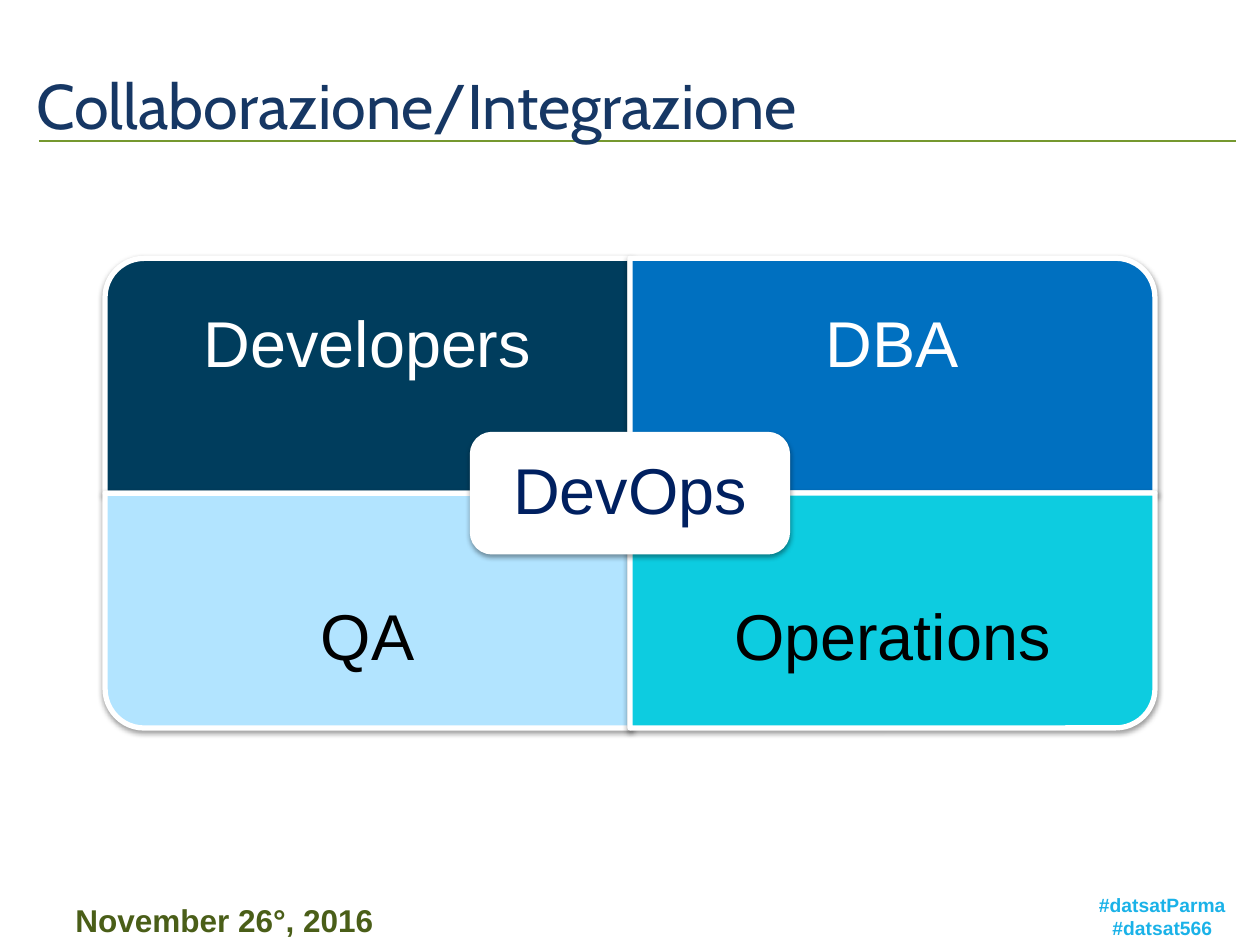
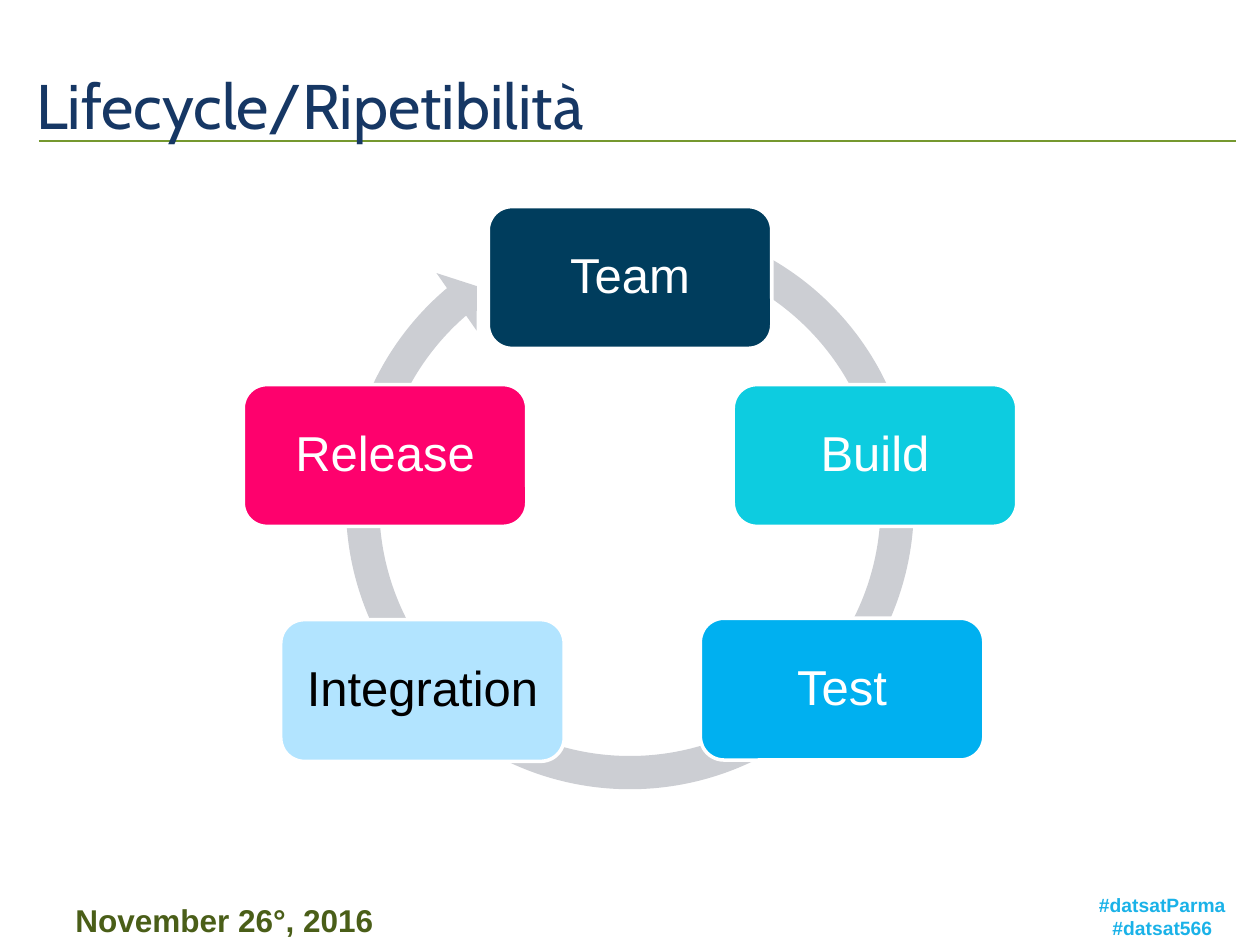
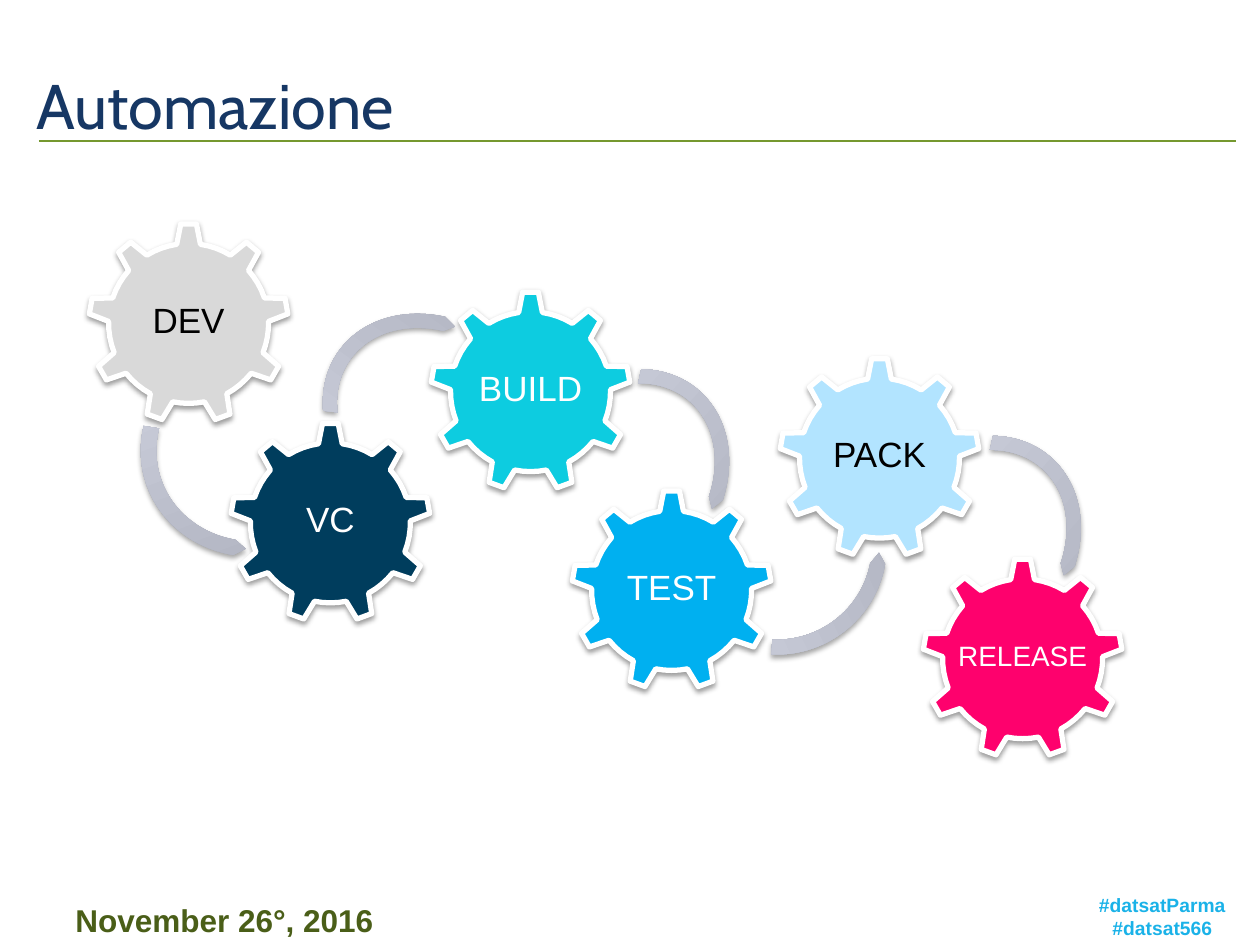
import math

from lxml import etree
from pptx import Presentation
from pptx.dml.color import RGBColor
from pptx.enum import shapes as kinds, text as t
from pptx.oxml import ns
from pptx.util import Pt

WHITE = RGBColor(0xFF, 0xFF, 0xFF)
BLACK = RGBColor(0x00, 0x00, 0x00)
TITLE_BLUE = RGBColor(0x16, 0x37, 0x64)
RULE_GREEN = RGBColor(0x75, 0x98, 0x2F)
DATE_GREEN = RGBColor(0x4A, 0x5E, 0x18)
TAG_BLUE = RGBColor(0x1A, 0xB2, 0xE8)
NAVY = RGBColor(0x00, 0x3D, 0x5D)
MIDNIGHT = RGBColor(0x00, 0x20, 0x60)
BLUE = RGBColor(0x00, 0x70, 0xC0)
SKY = RGBColor(0x00, 0xB0, 0xF0)
PALE_BLUE = RGBColor(0xB2, 0xE4, 0xFF)
TURQUOISE = RGBColor(0x0D, 0xCC, 0xE0)
PINK = RGBColor(0xFE, 0x01, 0x6D)
GREY = RGBColor(0xD9, 0xD9, 0xD9)
RING_GREY = RGBColor(0xCC, 0xCE, 0xD3)
ARROW_COLOURS = (RGBColor(0xAA, 0xAD, 0xBA), RGBColor(0xD5, 0xD8, 0xE5))

PRESET = kinds.MSO_SHAPE
CENTRE = t.PP_ALIGN.CENTER
MIDDLE = t.MSO_ANCHOR.MIDDLE
NO_INSETS = dict.fromkeys(
    ("margin_left", "margin_top", "margin_right", "margin_bottom"), 0)


def set_all(target, values):
    for name, value in values.items():
        setattr(target, name, value)


def write(shape, lines, size, colour, font="Arial", bold=False,
          paragraph=None, **frame):
    """Fill a shape with one paragraph per line."""
    set_all(shape.text_frame, {"word_wrap": True, **frame})
    shape.text_frame.text = "\n".join(lines)
    for line in shape.text_frame.paragraphs:
        set_all(line, paragraph or {})
        set_all(line.font, {"name": font, "size": Pt(size), "bold": bold})
        line.font.color.rgb = colour


def label(shape, words, size, colour, wrap=True):
    """Centred diagram label."""
    write(shape, [words], size, colour, word_wrap=wrap,
          vertical_anchor=MIDDLE, **NO_INSETS,
          paragraph={"alignment": CENTRE, "line_spacing": 0.9})


def text_box(slide, box):
    return slide.shapes.add_textbox(*map(Pt, box))


def preset(slide, kind, box):
    return slide.shapes.add_shape(kind, *map(Pt, box))


def paint(shape, fill, edge=None):
    """Flat fill, white edge of the given width, no shadow."""
    shape.shadow.inherit = False
    shape.fill.solid()
    shape.fill.fore_color.rgb = fill
    if edge:
        shape.line.color.rgb = WHITE
        shape.line.width = Pt(edge)
    else:
        shape.line.fill.background()


def drop_shadow(shape, opacity, distance):
    """Soft black shadow straight below the shape."""
    shape.shadow.inherit = False
    effects = shape._element.spPr.find(ns.qn("a:effectLst"))
    shadow = etree.SubElement(
        effects, ns.qn("a:outerShdw"), blurRad=str(Pt(3.1)),
        dist=str(Pt(distance)), dir="5400000", rotWithShape="0")
    black = etree.SubElement(shadow, ns.qn("a:srgbClr"), val="000000")
    etree.SubElement(black, ns.qn("a:alpha"), val=str(opacity * 1000))


def add_page(deck, title):
    """Blank slide with the shared title, rule and footer."""
    slide = deck.slides.add_slide(deck.slide_layouts[6])
    write(text_box(slide, (597.6, 506.9, 133.2, 33.8)),
          ["#datsatParma", "#datsat566"], 11, TAG_BLUE, bold=True,
          paragraph={"alignment": CENTRE})
    write(text_box(slide, (36, 511.2, 186.5, 28.8)),
          ["November 26°, 2016"], 18, DATE_GREEN, bold=True, word_wrap=False)
    rule = slide.shapes.add_connector(
        kinds.MSO_CONNECTOR.STRAIGHT, *map(Pt, (22.3, 80.6, 706.3, 80.6)))
    rule.line.color.rgb = RULE_GREEN
    rule.line.width = Pt(1)
    etree.SubElement(rule._element.spPr, ns.qn("a:effectLst"))
    write(text_box(slide, (13.7, 12.2, 692.6, 95)), [title], 36, TITLE_BLUE,
          font="Cabin", vertical_anchor=MIDDLE)
    return slide


def add_matrix(slide, box, quadrants, core):
    """Two by two block with a label over its centre."""
    left, top, width, height = box
    w, h = width / 2, height / 2
    text_h = h * 0.75
    for i, (words, fill, ink, turn) in enumerate(quadrants):
        row, column = divmod(i, 2)
        x, y = left + column * w, top + row * h
        # A quarter turn swaps the sides around the same centre
        fw, fh = (h, w) if turn % 180 else (w, h)
        quadrant = preset(slide, PRESET.ROUND_1_RECTANGLE,
                          (x + (w - fw) / 2, y + (h - fh) / 2, fw, fh))
        quadrant.rotation = turn
        paint(quadrant, fill, 3)
        drop_shadow(quadrant, 38, 1.6)
        label(text_box(slide, (x, y + row * (h - text_h), w, text_h)),
              words, 37, ink)
    core_w, core_h = width * 0.3, h / 2
    middle = preset(slide, PRESET.ROUNDED_RECTANGLE,
                    (left + w - core_w / 2, top + h - core_h / 2,
                     core_w, core_h))
    paint(middle, WHITE, 3)
    drop_shadow(middle, 38, 1.6)
    label(middle, core, 37, MIDNIGHT)


def add_cycle(slide, box, steps):
    """Ring arrow with step boxes; step centres are from the ring's top middle."""
    left, top, width, _ = box
    ring = preset(slide, PRESET.CIRCULAR_ARROW, box)
    for i, value in enumerate((0.055, 3.307, 137.74, 173.871, 0.058)):
        ring.adjustments[i] = value
    paint(ring, RING_GREY)
    w, h = 162, 81
    for words, fill, ink, dx, dy in steps:
        step = preset(slide, PRESET.ROUNDED_RECTANGLE,
                      (left + width / 2 + dx - w / 2, top + dy - h / 2, w, h))
        paint(step, fill, 2)
        label(step, words, 28, ink)


def gear_outline(cx, cy, teeth=9, tip=56.8, body=45.7):
    """Points of a gear: each tooth, then the arc to the next one."""
    step = 360 / teeth
    tooth = [(-6.8, 45.2), (-4.5, tip), (4.5, tip), (6.8, 45.2)]
    arc = [(body * math.sin(math.radians(a)), body * math.cos(math.radians(a)))
           for a in (step * 0.36, step * 0.5, step * 0.64)]
    points = []
    for k in range(teeth):
        sin, cos = (f(math.radians(k * step)) for f in (math.sin, math.cos))
        points += [(Pt(cx + x * cos + y * sin), Pt(cy + x * sin - y * cos))
                   for x, y in tooth + arc]
    return points


def add_gear_train(slide, box, gears, arrows):
    """Gears joined by curved arrows, placed from the box's corner."""
    left, top = box[:2]
    for words, fill, ink, size, x, y in gears:
        outline = gear_outline(left + x + 56.8, top + y + 56.8)
        builder = slide.shapes.build_freeform(*outline[0], scale=1.0)
        builder.add_line_segments(outline[1:], close=True)
        gear = builder.convert_to_shape()
        paint(gear, fill, 3)
        drop_shadow(gear, 38, 1.6)
        label(gear, words, size, ink, wrap=False)
    for x, y, w, h, turn, flipped in arrows:
        arrow = preset(slide, PRESET.CIRCULAR_ARROW, (left + x, top + y, w, h))
        for i, value in enumerate((0.114, 3.764, 33.494, 198.426, 0.035)):
            arrow.adjustments[i] = value
        arrow.rotation = turn
        if flipped:
            arrow._element.spPr.xfrm.set("flipH", "1")
        arrow.line.fill.background()
        arrow.fill.gradient()
        arrow.fill.gradient_angle = 90
        for stop, colour, at in zip(arrow.fill.gradient_stops,
                                    ARROW_COLOURS, (0, 1)):
            stop.color.rgb = colour
            stop.position = at
        drop_shadow(arrow, 35, 1.8)


def main():
    deck = Presentation()
    set_all(deck, {"slide_width": Pt(720), "slide_height": Pt(540)})

    # Words, fill, ink, rotation
    add_matrix(add_page(deck, "Collaborazione/Integrazione"),
               (60, 147.6, 600, 268.4),
               [("Developers", NAVY, WHITE, 270),
                ("DBA", BLUE, WHITE, 0),
                ("QA", PALE_BLUE, BLACK, 180),
                ("Operations", TURQUOISE, BLACK, 90)],
               "DevOps")

    # Words, fill, ink, centre
    add_cycle(add_page(deck, "Lifecycle/Ripetibilità"),
              (187.2, 116, 345.6, 345.6),
              [("Team", NAVY, WHITE, 0, 42.6),
               ("Build", TURQUOISE, WHITE, 140, 144.3),
               ("Test", SKY, WHITE, 121.2, 277.8),
               ("Integration", PALE_BLUE, BLACK, -118.6, 278.6),
               ("Release", PINK, WHITE, -140, 144.3)])

    # Gears: words, fill, ink, size, corner; arrows: box, rotation, flip
    add_gear_train(add_page(deck, "Automazione"),
                   (51, 128, 590, 306),
                   [("DEV", GREY, BLACK, 20, 0, 0),
                    ("VC", NAVY, WHITE, 20, 81, 114),
                    ("BUILD", TURQUOISE, WHITE, 20, 195.4, 39),
                    ("TEST", SKY, WHITE, 20, 276, 152.6),
                    ("PACK", PALE_BLUE, BLACK, 20, 394.8, 77),
                    ("RELEASE", PINK, WHITE, 16, 476.6, 191.6)],
                   [(430, 129, 144, 116.6, 311.6, False),
                    (229, 90.9, 144, 116.6, 311.6, False),
                    (28.9, 62.8, 137.5, 126.7, 339.9, True),
                    (129, 56.3, 144, 116.6, 216, False),
                    (333.5, 123.3, 121, 123.8, 244.7, True)])
    deck.save("out.pptx")


if __name__ == "__main__":
    main()
